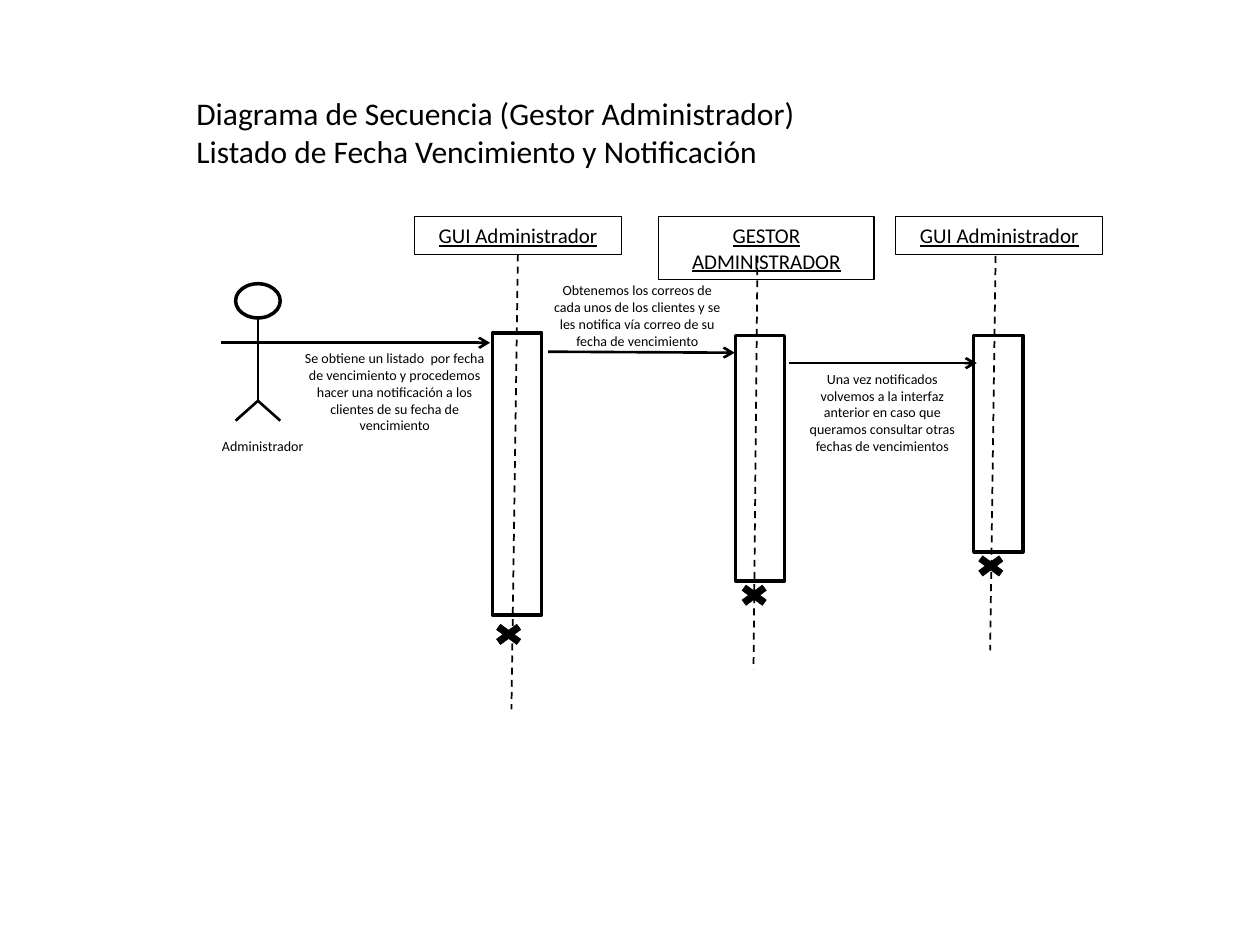
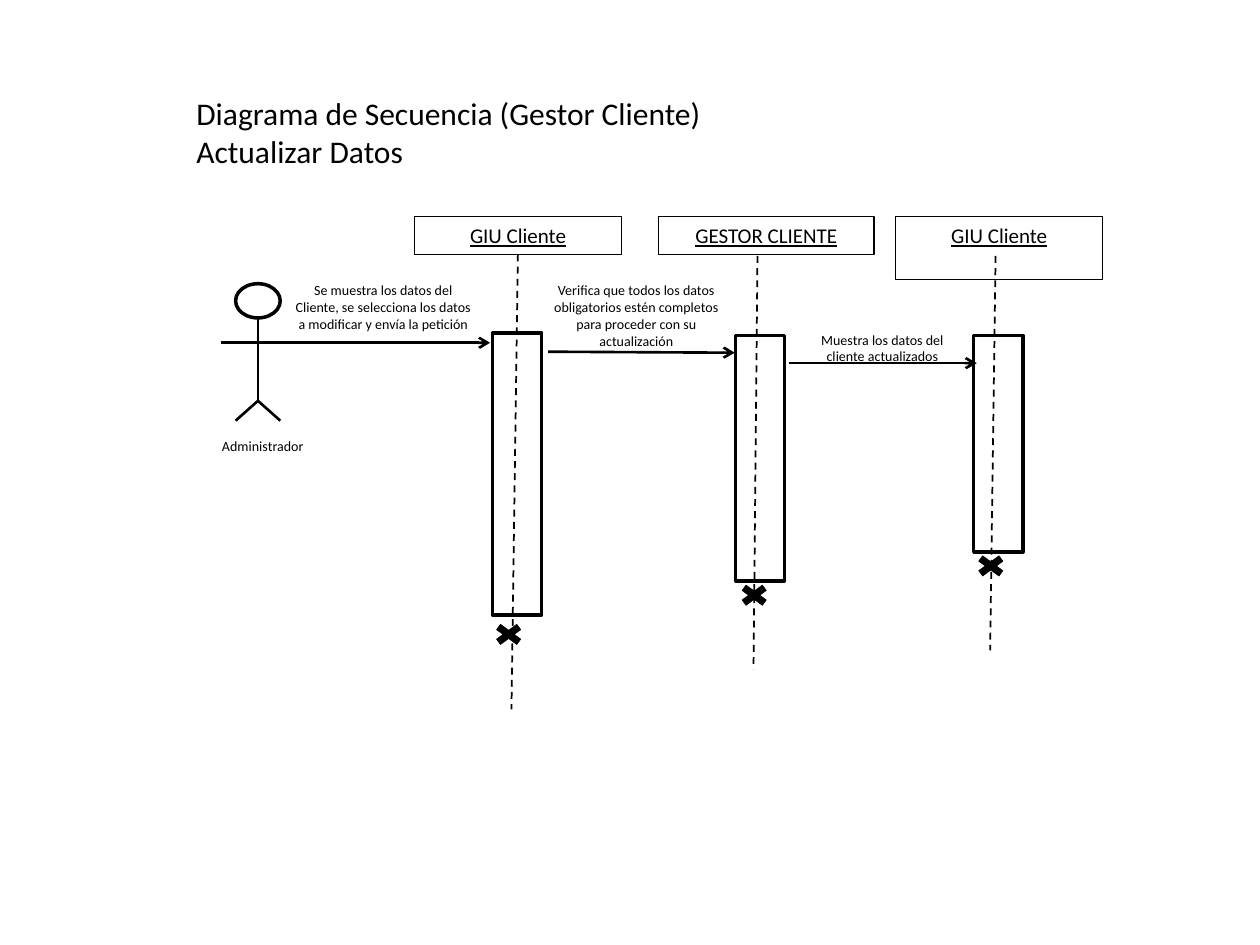
from dataclasses import dataclass

from lxml import etree
from pptx import Presentation
from pptx import util as u
from pptx.dml.color import RGBColor
from pptx.enum import dml, shapes, text
from pptx.oxml.ns import qn


@dataclass(frozen=True)
class Theme:
    ink: RGBColor = RGBColor(0, 0, 0)
    paper: RGBColor = RGBColor(255, 255, 255)
    font: str = "Calibri"
    title_size: int = 18
    header_size: int = 12
    note_size: int = 8
    hairline: float = 0.25
    thin: float = 0.75
    dashed: float = 1
    medium: float = 1.5
    thick: float = 2


@dataclass(frozen=True)
class Participant:
    """One column of the diagram; lengths in centimetres."""
    header_left: float
    header_width: float
    lifeline: tuple
    activation: tuple
    end_mark: tuple


HEADER_TOP = 4.37
BAR_WIDTH = 0.99
MARK_SIZE = (0.79, 0.58)
LINE_HEIGHT, LINE_PADDING = 0.51, 0.25

PARTICIPANTS = [
    Participant(8.36, 4.17, (10.44, 5.13, 10.31, 14.3), (9.93, 6.71, 5.69), (9.86, 12.5)),
    Participant(13.28, 4.34, (15.27, 5.16, 15.19, 13.49), (14.83, 6.76, 4.95), (14.81, 11.71)),
    Participant(18.06, 4.17, (20.07, 5.16, 19.96, 13.11), (19.63, 6.76, 4.37), (19.58, 11.12)),
]
MESSAGES = [(11.05, 7.09, 14.81, 7.11), (15.9, 7.32, 19.69, 7.32)]


class DiagramBuilder:
    def __init__(self, presentation, theme):
        self.presentation = presentation
        self.theme = theme
        self.slide = None

    def new_slide(self):
        self.slide = self.presentation.slides.add_slide(self.presentation.slide_layouts[6])

    def set_text(self, shape, content, size, centred=True, underline=False, grow=True):
        frame = shape.text_frame
        frame.text = content
        frame.word_wrap = True
        frame.vertical_anchor = text.MSO_ANCHOR.TOP
        fit = text.MSO_AUTO_SIZE
        frame.auto_size = fit.SHAPE_TO_FIT_TEXT if grow else fit.NONE
        for paragraph in frame.paragraphs:
            paragraph.alignment = text.PP_ALIGN.CENTER if centred else text.PP_ALIGN.LEFT
            for run in paragraph.runs:
                run.font.name = self.theme.font
                run.font.size = u.Pt(size)
                run.font.color.rgb = self.theme.ink
                run.font.underline = underline

    def text_box(self, box, content, size, centred=True, parent=None):
        parent = parent or self.slide
        shape = parent.shapes.add_textbox(*map(u.Cm, box))
        self.set_text(shape, content, size, centred)

    def outline(self, kind, box, width, fill=None, parent=None):
        parent = parent or self.slide
        shape = parent.shapes.add_shape(kind, *map(u.Cm, box))
        shape.shadow.inherit = False
        shape.line.color.rgb = self.theme.ink
        shape.line.width = u.Pt(width)
        if fill is None:
            shape.fill.background()
        else:
            shape.fill.solid()
            shape.fill.fore_color.rgb = fill
        return shape

    def line(self, ends, width, dashed=False, arrow=False, parent=None):
        parent = parent or self.slide
        connector = parent.shapes.add_connector(
            shapes.MSO_CONNECTOR.STRAIGHT, *map(u.Cm, ends))
        connector.line.color.rgb = self.theme.ink
        connector.line.width = u.Pt(width)
        if dashed:
            connector.line.dash_style = dml.MSO_LINE.DASH
        properties = connector.element.spPr
        if arrow:
            etree.SubElement(properties.find(qn("a:ln")), qn("a:tailEnd"), type="arrow")
        etree.SubElement(properties, qn("a:effectLst"))

    def header(self, participant, name, line_count):
        height = LINE_PADDING + LINE_HEIGHT * line_count
        box = (participant.header_left, HEADER_TOP, participant.header_width, height)
        shape = self.outline(shapes.MSO_SHAPE.RECTANGLE, box, self.theme.thin)
        self.set_text(shape, name, self.theme.header_size, underline=True, grow=False)

    def activation(self, participant):
        left, top, height = participant.activation
        self.outline(shapes.MSO_SHAPE.RECTANGLE, (left, top, BAR_WIDTH, height),
                     self.theme.thick)

    def end_mark(self, participant):
        self.outline(shapes.MSO_SHAPE.MATH_MULTIPLY, participant.end_mark + MARK_SIZE,
                     self.theme.hairline, self.theme.ink)

    def actor(self, name):
        group = self.slide.shapes.add_group_shape()
        centre, hip, half_width = 5.2, 8.08, 0.45
        self.outline(shapes.MSO_SHAPE.OVAL, (centre - half_width, 5.72, 2 * half_width, 0.69),
                     self.theme.thick, self.theme.paper, group)
        limbs = [
            (centre, 6.4, centre, hip),
            (centre, hip, centre - half_width, 8.48),
            (centre, hip, centre + half_width, 8.48),
            (4.45, 6.91, 5.94, 6.91),
        ]
        for limb in limbs:
            self.line(limb, self.theme.medium, parent=group)
        self.line((5.84, 6.91, 9.88, 6.91), self.theme.medium, arrow=True, parent=group)
        self.text_box((3.38, 8.69, 3.84, 0.61), name, self.theme.note_size, parent=group)

    def sequence(self, title, headers, notes):
        self.new_slide()
        self.text_box((3.71, 1.78, 13.1, 1.8), title, self.theme.title_size, centred=False)
        # Participants, their lifelines and activation bars
        for participant, (name, line_count) in zip(PARTICIPANTS, headers):
            self.header(participant, name, line_count)
        for participant in PARTICIPANTS:
            self.line(participant.lifeline, self.theme.dashed, dashed=True)
        for participant in PARTICIPANTS:
            self.activation(participant)
        # Actor, messages and their notes
        self.actor("Administrador")
        for message in MESSAGES:
            self.line(message, self.theme.medium, arrow=True)
        for box, content in notes:
            self.text_box(box, content, self.theme.note_size)
        # Ends of the lifelines
        for participant in PARTICIPANTS:
            self.end_mark(participant)


presentation = Presentation()
presentation.slide_width, presentation.slide_height = u.Cm(25.4), u.Cm(19.05)
builder = DiagramBuilder(presentation, Theme())

# Slide 1: due dates and notification
builder.sequence(
    "Diagrama de Secuencia (Gestor Administrador)\n"
    "Listado de Fecha Vencimiento y Notificación",
    [("GUI Administrador", 1), ("GESTOR ADMINISTRADOR", 2), ("GUI Administrador", 1)],
    [
        ((5.89, 6.93, 4.14, 1.96),
         "Se obtiene un listado  por fecha de vencimiento y procedemos hacer una "
         "notificación a los clientes de su fecha de vencimiento"),
        ((10.87, 5.56, 3.96, 1.63),
         "Obtenemos los correos de cada unos de los clientes y se les notifica vía "
         "correo de su fecha de vencimiento"),
        ((16, 7.34, 3.58, 1.96),
         "Una vez notificados volvemos a la interfaz anterior en caso que queramos "
         "consultar otras fechas de vencimientos"),
    ],
)

# Slide 2: updating client data
builder.sequence(
    "Diagrama de Secuencia (Gestor Cliente)\nActualizar Datos",
    [("GIU Cliente", 1), ("GESTOR CLIENTE", 1), ("GIU Cliente", 2)],
    [
        ((5.66, 5.56, 4.14, 1.27),
         "Se muestra los datos del Cliente, se selecciona los datos a modificar y "
         "envía la petición"),
        ((10.85, 5.56, 3.96, 1.63),
         "Verifica que todos los datos obligatorios estén completos para proceder "
         "con su actualización"),
        ((16, 6.55, 3.58, 0.94), "Muestra los datos del cliente actualizados"),
    ],
)

presentation.save("out.pptx")
